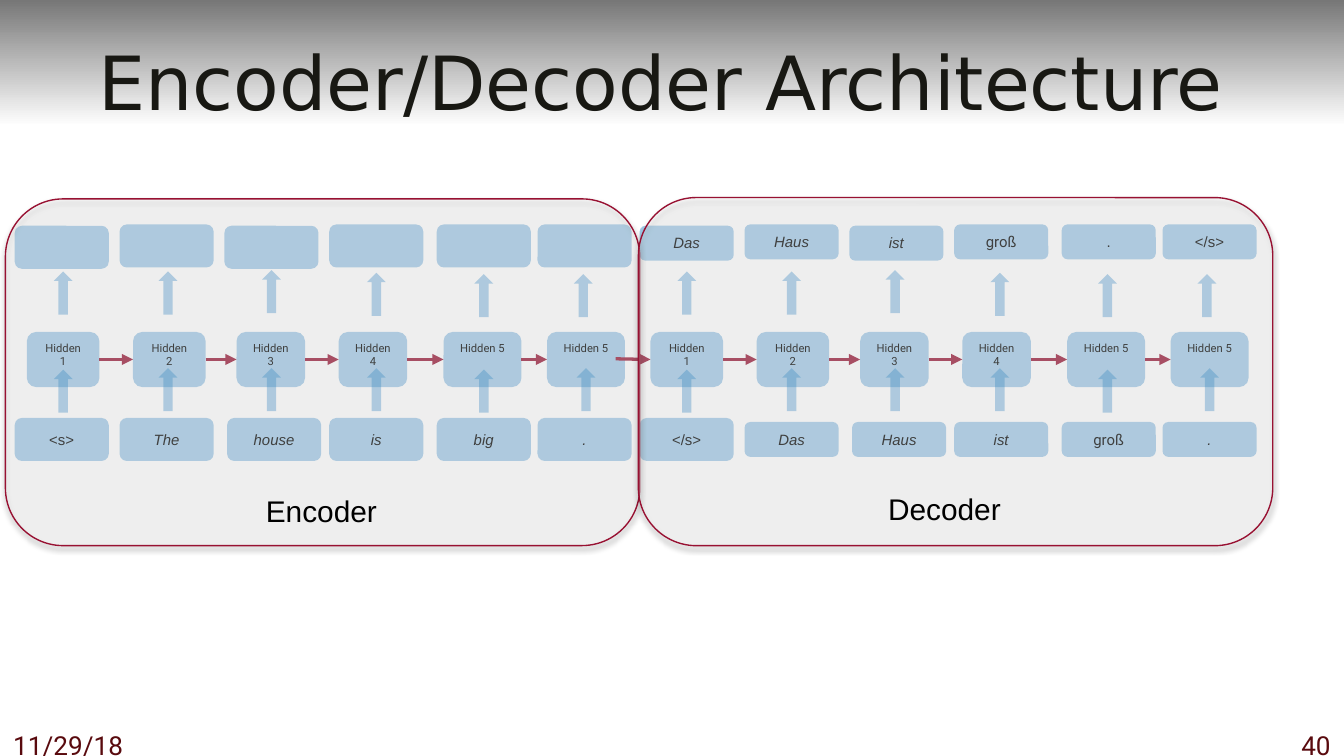
from lxml.etree import SubElement
from pptx import Presentation
from pptx.dml.color import RGBColor
from pptx.enum.shapes import MSO_CONNECTOR, MSO_SHAPE
from pptx.enum.text import MSO_ANCHOR, PP_ALIGN
from pptx.oxml.ns import qn
from pptx.util import Inches, Pt

COLORS = {
    "band_top": "777777", "band_bottom": "FFFFFF", "title": "181813",
    "footer": "590A0E", "block": "0070C0", "arrow": "981535",
    "panel": "FFFFFF", "panel_line": "981132", "text": "000000",
}
INPUT_X = [0.11, 0.89, 1.69, 2.45, 3.25, 4.0]
OUTPUT_X = [0.11, 0.89, 1.67, 2.45, 3.25, 4.0]
OUTPUT_Y = [1.68, 1.67, 1.68, 1.67, 1.67, 1.67]
HIDDEN_X = [0.2, 0.99, 1.76, 2.52, 3.3, 4.07]
HIDDEN_WIDTH = [0.54, 0.54, 0.51, 0.51, 0.58, 0.58]
HIDDEN_LABELS = ["Hidden 1", "Hidden 2", "Hidden 3", "Hidden 4", "Hidden 5", "Hidden 5"]
LOWER_ARROW_X = [0.4, 1.18, 1.95, 2.73, 3.53, 4.29]
UPPER_ARROW_X = [0.4, 1.18, 1.95, 2.73, 3.53, 4.27]
LOWER_ARROW_Y = [2.75, 2.74, 2.74, 2.74, 2.75, 2.74]
UPPER_ARROW_Y = [2.02, 2.02, 2.01, 2.03, 2.04, 2.04]

ENCODER = {
    "word_shift": 0,
    "hidden_shift": 0,
    "inputs": ["<s>", "The", "house", "is", "big", "."],
    "outputs": [""] * 6,
    "input_boxes": [(3.11, 0.32)] * 6,
    "output_height": 0.32,
    "upright_outputs": [],
}
DECODER = {
    "word_shift": 4.65,
    "hidden_shift": 4.64,
    "inputs": ["</s>", "Das", "Haus", "ist", "groß", "."],
    "outputs": ["Das", "Haus", "ist", "groß", ".", "</s>"],
    "input_boxes": [(3.11, 0.32)] + [(3.14, 0.26)] * 5,
    "output_height": 0.26,
    "upright_outputs": ["."],
}


def write(shape, text, size, name="Arial", color="text", italic=False,
          align=PP_ALIGN.CENTER, anchor=MSO_ANCHOR.TOP, wrap=True):
    frame = shape.text_frame
    frame.word_wrap = wrap
    frame.vertical_anchor = anchor
    paragraph = frame.paragraphs[0]
    paragraph.alignment = align
    run = paragraph.add_run()
    run.text = text
    run.font.color.rgb = RGBColor.from_string(COLORS[color])
    for attribute, value in {"size": Pt(size), "name": name, "italic": italic}.items():
        setattr(run.font, attribute, value)


def add_block(kind, left, top, width, height, color="block", opacity=37):
    shape = slide.shapes.add_shape(
        kind, Inches(left), Inches(top), Inches(width), Inches(height))
    shape.shadow.inherit = False
    shape.line.fill.background()
    shape.fill.solid()
    shape.fill.fore_color.rgb = RGBColor.from_string(COLORS[color])
    color_element = shape.element.spPr.find(qn("a:solidFill"))[0]
    SubElement(color_element, qn("a:alpha"), val=str(opacity * 1000))
    return shape


# Widescreen slide, 16:9
presentation = Presentation()
presentation.slide_width = Inches(10)
presentation.slide_height = Inches(10) * 9 // 16
slide = presentation.slides.add_slide(presentation.slide_layouts[5])

# Gradient band behind the title
band = slide.shapes.add_shape(MSO_SHAPE.RECTANGLE, 0, 0, Inches(10), Inches(0.94))
band.shadow.inherit = False
band.line.fill.background()
band.fill.gradient()
band.fill.gradient_angle = 270
for stop, name in zip(band.fill.gradient_stops, ["band_top", "band_bottom"]):
    stop.color.rgb = RGBColor.from_string(COLORS[name])
slide.shapes.element.insert(2, band.element)

# Title
title = slide.shapes.title
for attribute, value in {"left": 0.04, "top": 0.16, "width": 9.75, "height": 0.88}.items():
    setattr(title, attribute, Inches(value))
write(title, "Encoder/Decoder Architecture", 40, "DejaVu Sans", "title",
      anchor=MSO_ANCHOR.MIDDLE)

# Date and slide number
for text, left, width, align in [("11/29/18", 0, 1.33, PP_ALIGN.LEFT),
                                 ("40", 9.5, 0.5, PP_ALIGN.RIGHT)]:
    footer = slide.shapes.add_textbox(Inches(left), Inches(5.38), Inches(width), Inches(0.25))
    write(footer, text, 14, "Roboto", "footer", align=align)

# Columns of input word, hidden state and output word
hidden_boxes = []
for network in [ENCODER, DECODER]:
    word_shift, hidden_shift = network["word_shift"], network["hidden_shift"]
    for column in range(6):
        input_top, input_height = network["input_boxes"][column]
        rows = [
            (network["inputs"][column], INPUT_X[column], input_top, input_height,
             MSO_ANCHOR.MIDDLE, []),
            (network["outputs"][column], OUTPUT_X[column], OUTPUT_Y[column],
             network["output_height"], MSO_ANCHOR.TOP, network["upright_outputs"]),
        ]
        for word, left, top, height, anchor, upright in rows:
            box = add_block(MSO_SHAPE.ROUNDED_RECTANGLE, word_shift + left, top, 0.7, height)
            if word:
                italic = word not in ["<s>", "</s>", "groß"] + upright
                font_name = "Roboto" if word == "groß" else "Arial"
                write(box, word, 8, font_name, italic=italic, anchor=anchor)

        hidden = add_block(MSO_SHAPE.ROUNDED_RECTANGLE, hidden_shift + HIDDEN_X[column],
                           2.47, HIDDEN_WIDTH[column], 0.41)
        write(hidden, HIDDEN_LABELS[column], 6, "Roboto")
        hidden_boxes.append(hidden)

        for left, top in [(LOWER_ARROW_X[column], LOWER_ARROW_Y[column]),
                          (UPPER_ARROW_X[column], UPPER_ARROW_Y[column])]:
            arrow = add_block(MSO_SHAPE.DOWN_ARROW, hidden_shift + left, top, 0.14, 0.32)
            arrow.rotation = 180

# Arrows between hidden states; the one into the decoder starts inside its box
for index, (source, target) in enumerate(zip(hidden_boxes, hidden_boxes[1:])):
    connector = slide.shapes.add_connector(
        MSO_CONNECTOR.STRAIGHT, Inches(4.58), Inches(2.67), Inches(4.84), Inches(2.67))
    if index != 5:
        connector.begin_connect(source, 3)
    connector.end_connect(target, 1)
    connector.line.color.rgb = RGBColor.from_string(COLORS["arrow"])
    connector.line.width = Pt(1.75)
    SubElement(connector.element.spPr.find(qn("a:ln")), qn("a:tailEnd"), type="triangle")
    SubElement(connector.element.spPr, qn("a:effectLst"))

# Translucent panels with soft shadows, and their captions
for caption, left, top, height, text_left, text_top in [
        ("Encoder", 0.04, 1.48, 2.58, 1.88, 3.62),
        ("Decoder", 4.75, 1.47, 2.59, 6.51, 3.6)]:
    panel = add_block(MSO_SHAPE.ROUNDED_RECTANGLE, left, top, 4.72, height, "panel", 25)
    panel.line.color.rgb = RGBColor.from_string(COLORS["panel_line"])
    panel.line.width = Pt(0.75)
    effects = panel.element.spPr.find(qn("a:effectLst"))
    shadow = SubElement(effects, qn("a:outerShdw"), blurRad=str(Pt(3.1)),
                        dist=str(Pt(1.8)), dir="5400000", rotWithShape="0")
    shadow_color = SubElement(shadow, qn("a:srgbClr"), val=COLORS["text"])
    SubElement(shadow_color, qn("a:alpha"), val="35000")
    label = slide.shapes.add_textbox(
        Inches(text_left), Inches(text_top), Inches(1.05), Inches(0.37))
    write(label, caption, 16, align=PP_ALIGN.LEFT, wrap=False)

presentation.save("out.pptx")
